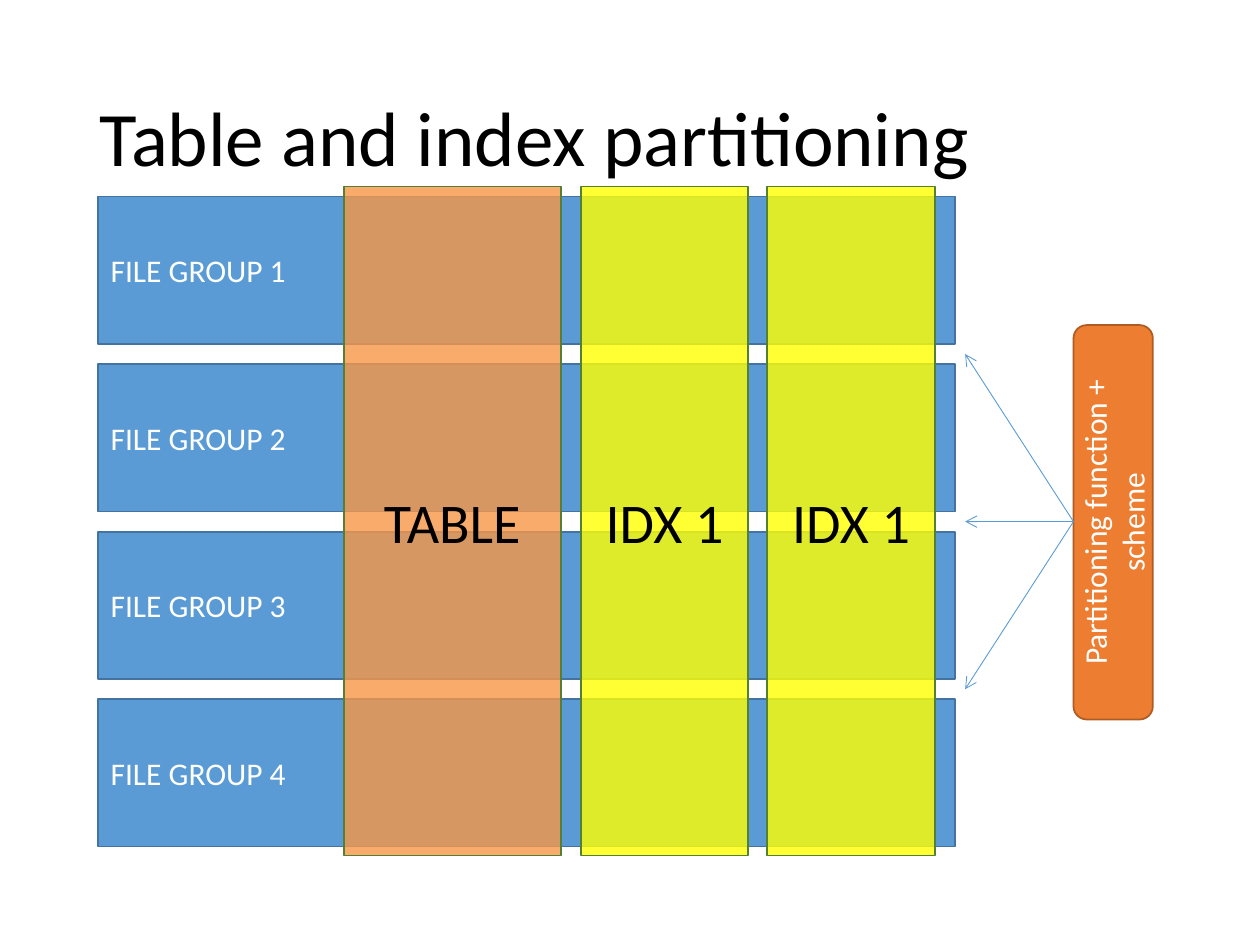
from lxml.etree import SubElement
from pptx import Presentation
from pptx.dml.color import RGBColor
from pptx.enum.shapes import MSO_CONNECTOR, MSO_SHAPE
from pptx.enum.text import MSO_ANCHOR, PP_ALIGN
from pptx.oxml.ns import qn
from pptx.util import Inches, Pt

BLACK = RGBColor(0x00, 0x00, 0x00)
WHITE = RGBColor(0xFF, 0xFF, 0xFF)
BLUE = RGBColor(0x5B, 0x9B, 0xD5)
DARK_BLUE = RGBColor(0x43, 0x73, 0x9E)
SAND = RGBColor(0xF7, 0x96, 0x46)
YELLOW = RGBColor(0xFF, 0xFF, 0x00)
GREEN = RGBColor(0x53, 0x80, 0x35)
ORANGE = RGBColor(0xED, 0x7D, 0x31)
DARK_ORANGE = RGBColor(0xAF, 0x5C, 0x24)


class SlideBuilder:
    font = "Calibri"

    def __init__(self, prs):
        self.slide = prs.slides.add_slide(prs.slide_layouts[5])

    def set_text(self, sp, text, size, color, align):
        tf = sp.text_frame
        tf.word_wrap = True
        tf.vertical_anchor = MSO_ANCHOR.MIDDLE
        p = tf.paragraphs[0]
        p.text = text
        p.alignment = align
        p.font.name = self.font
        p.font.size = Pt(size)
        p.font.color.rgb = color
        return p

    def title(self, text, x, y, w, h):
        sp = self.slide.shapes.title
        sp.left, sp.top, sp.width, sp.height = map(Inches, (x, y, w, h))
        p = self.set_text(sp, text, 44, BLACK, PP_ALIGN.LEFT)
        p.line_spacing = 0.9

    def box(self, text, x, y, w, h, fill, line, size=18, color=WHITE,
            align=PP_ALIGN.CENTER, kind=MSO_SHAPE.RECTANGLE, alpha=None):
        sp = self.slide.shapes.add_shape(kind, *map(Inches, (x, y, w, h)))
        sp.shadow.inherit = False
        sp.fill.solid()
        sp.fill.fore_color.rgb = fill
        sp.line.color.rgb = line
        sp.line.width = Pt(1)
        if alpha is not None:
            clr = sp._element.spPr.find(qn("a:solidFill")).find(qn("a:srgbClr"))
            SubElement(clr, qn("a:alpha"), val=str(alpha * 1000))
        self.set_text(sp, text, size, color, align)
        return sp

    def arrow(self, source, x1, y1, x2, y2):
        cxn = self.slide.shapes.add_connector(
            MSO_CONNECTOR.STRAIGHT, *map(Inches, (x1, y1, x2, y2)))
        cxn.begin_connect(source, 0)
        cxn.begin_x, cxn.begin_y = Inches(x1), Inches(y1)
        cxn.line.color.rgb = BLUE
        cxn.line.width = Pt(0.5)
        sp_pr = cxn._element.spPr
        SubElement(sp_pr.find(qn("a:ln")), qn("a:tailEnd"), type="arrow")
        SubElement(sp_pr, qn("a:effectLst"))


def main():
    prs = Presentation()
    prs.slide_width, prs.slide_height = Inches(10), Inches(7.5)
    s = SlideBuilder(prs)
    s.title("Table and index partitioning", 0.69, 0.4, 8.62, 1.45)

    row_top, row_step, row_height = 1.56, 1.33, 1.17
    for i in range(4):
        s.box(f"FILE GROUP {i + 1}", 0.78, row_top + i * row_step, 6.8,
              row_height, BLUE, DARK_BLUE, align=PP_ALIGN.LEFT)

    for text, x, w, fill in (("TABLE", 2.73, 1.72, SAND),
                             ("IDX 1", 4.61, 1.33, YELLOW),
                             ("IDX 1", 6.09, 1.33, YELLOW)):
        s.box(text, x, 1.48, w, 5.31, fill, GREEN, size=32, color=BLACK,
              alpha=80)

    scheme = s.box("Partitioning function + scheme", 7.27, 3.83, 3.13, 0.63,
                   ORANGE, DARK_ORANGE, kind=MSO_SHAPE.ROUNDED_RECTANGLE)
    scheme.rotation = 270

    middle = 4.14
    for i in (-1, 0, 1):
        s.arrow(scheme, 8.52, middle, 7.66, middle + i * row_step)

    prs.save("out.pptx")


if __name__ == "__main__":
    main()
